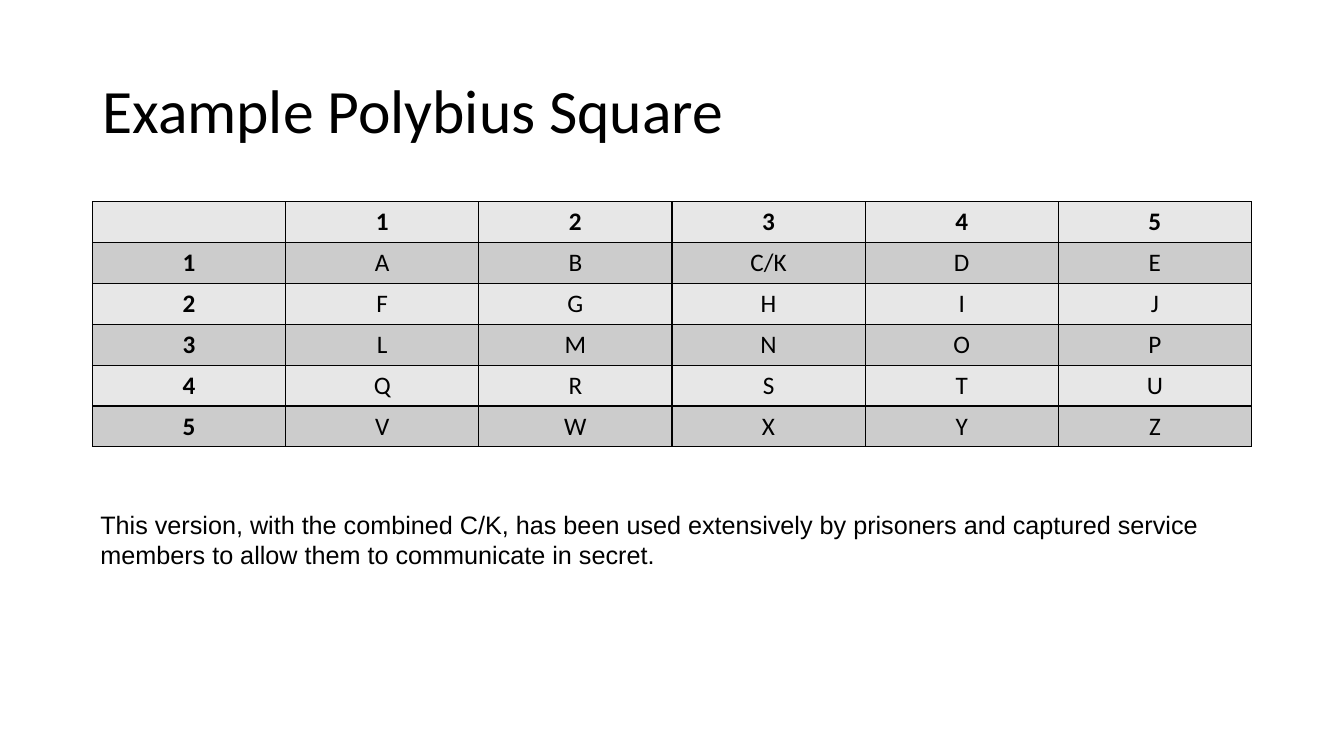
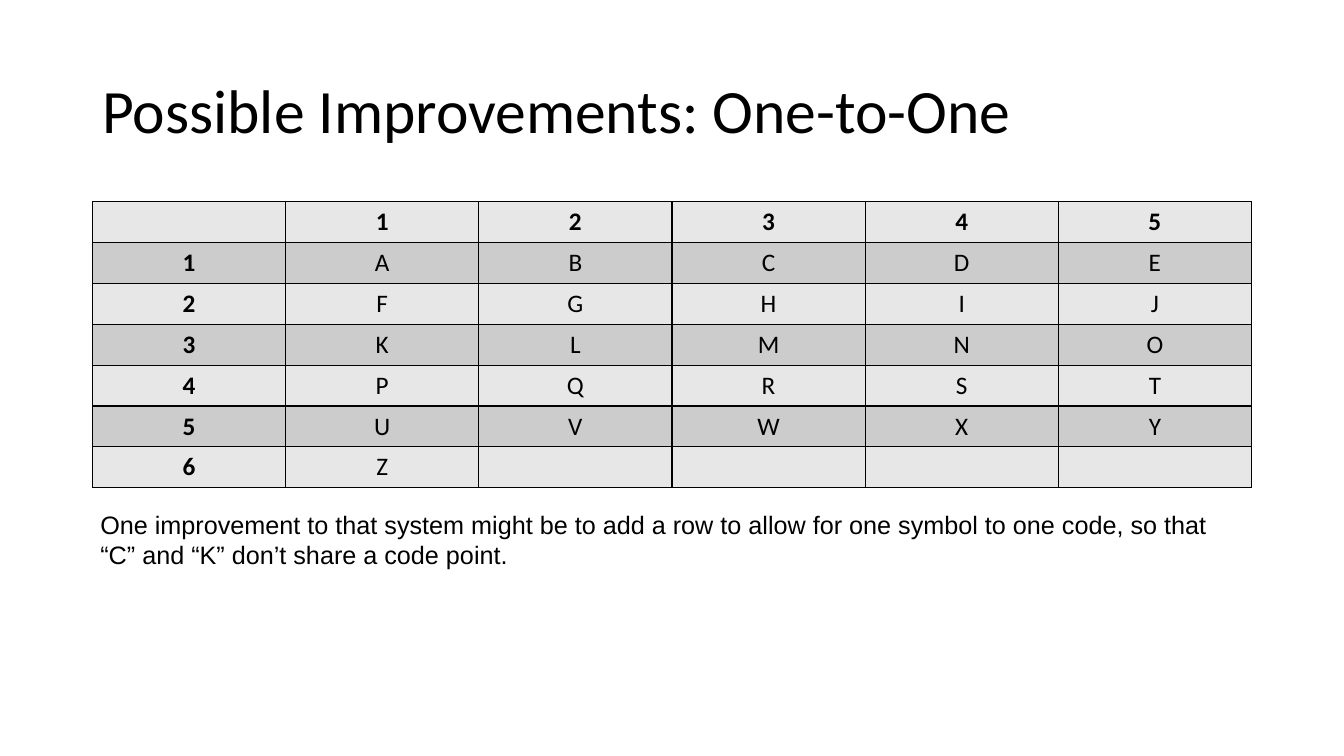
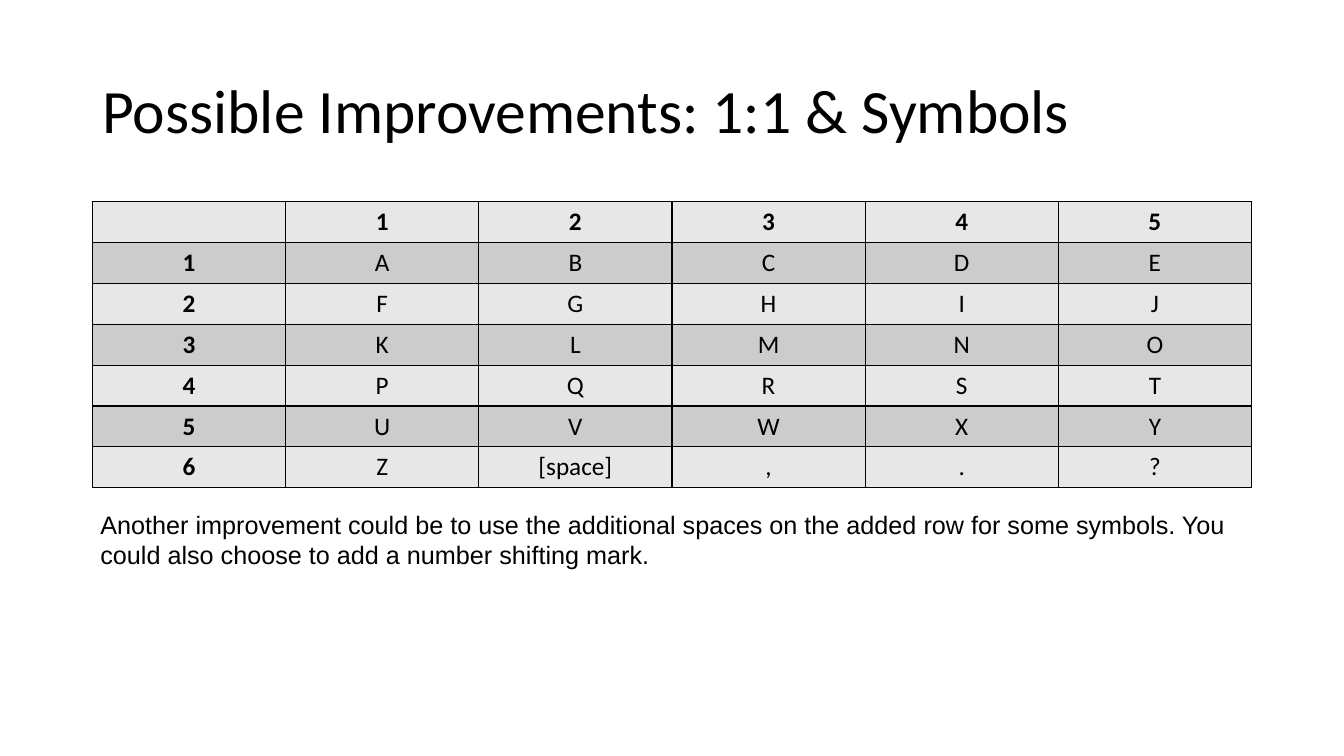
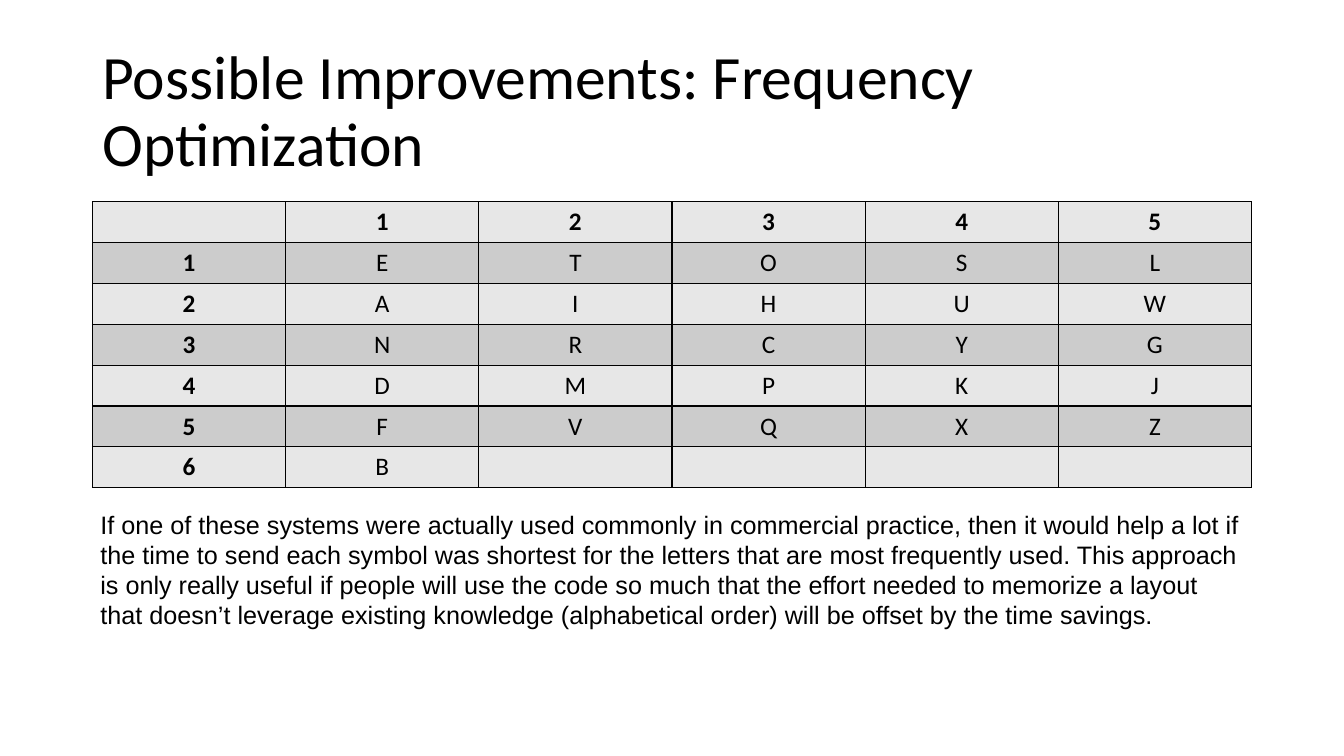
from lxml import etree
from pptx import Presentation
from pptx.dml.color import RGBColor
from pptx.enum.text import MSO_ANCHOR, PP_ALIGN
from pptx.oxml.ns import qn
from pptx.util import Cm, Pt

CENTER = PP_ALIGN.CENTER
TOP, MIDDLE = MSO_ANCHOR.TOP, MSO_ANCHOR.MIDDLE

# Shared look
BLACK = RGBColor(0x00, 0x00, 0x00)
LIGHT_GREY = RGBColor(0xE7, 0xE7, 0xE7)
MID_GREY = RGBColor(0xCC, 0xCC, 0xCC)
TITLE_FONT, NOTE_FONT = "Calibri", "Arial"
LEFT, WIDTH = Cm(2.33), Cm(29.21)
ROW_HEIGHT = Cm(1.03)
BORDER_WIDTH = Pt(0.96)
COLUMN_HEADS = ["", "1", "2", "3", "4", "5"]

# Content: title, rows of the square, note
alphabet_rows = ["A B C D E", "F G H I J", "K L M N O", "P Q R S T", "U V W X Y"]
squares = [
    ("Example Polybius Square",
     ["A B C/K D E", "F G H I J", "L M N O P", "Q R S T U", "V W X Y Z"],
     "This version, with the combined C/K, has been used extensively by prisoners "
     "and captured service members to allow them to communicate in secret."),
    ("Possible Improvements: One-to-One",
     alphabet_rows + ["Z"],
     "One improvement to that system might be to add a row to allow for one symbol "
     "to one code, so that “C” and “K” don’t share a code point."),
    ("Possible Improvements: 1:1 & Symbols",
     alphabet_rows + ["Z [space] , . ?"],
     "Another improvement could be to use the additional spaces on the added row for "
     "some symbols. You could also choose to add a number shifting mark."),
    ("Possible Improvements: Frequency Optimization",
     ["E T O S L", "A I H U W", "N R C Y G", "D M P K J", "F V Q X Z", "B"],
     "If one of these systems were actually used commonly in commercial practice, then "
     "it would help a lot if the time to send each symbol was shortest for the letters "
     "that are most frequently used. This approach is only really useful if people will "
     "use the code so much that the effort needed to memorize a layout that doesn’t "
     "leverage existing knowledge (alphabetical order) will be offset by the time savings."),
]


def write(frame, text, font_name, size, bold=False):
    frame.text = text
    paragraph = frame.paragraphs[0]
    for run in paragraph.runs:
        run.font.name = font_name
        run.font.size = Pt(size)
        run.font.bold = bold
        run.font.color.rgb = BLACK
    return paragraph


def add_text(slide, left, top, height, anchor, text, font_name, size):
    frame = slide.shapes.add_textbox(left, top, WIDTH, height).text_frame
    frame.word_wrap = True
    frame.vertical_anchor = anchor
    return write(frame, text, font_name, size)


prs = Presentation()
prs.slide_width, prs.slide_height = Cm(33.87), Cm(19.05)
blank = prs.slide_layouts[6]

for title, letter_rows, note in squares:
    slide = prs.slides.add_slide(blank)

    # Polybius square with its row and column numbers
    grid = [COLUMN_HEADS]
    for number, letters in enumerate(letter_rows, start=1):
        codes = [str(number)] + letters.split()
        grid.append(codes + [""] * (len(COLUMN_HEADS) - len(codes)))
    square = slide.shapes.add_table(len(grid), len(COLUMN_HEADS), LEFT, Cm(5.08),
                                    WIDTH, ROW_HEIGHT * len(grid)).table
    for r, codes in enumerate(grid):
        square.rows[r].height = ROW_HEIGHT
        for c, code in enumerate(codes):
            cell = square.cell(r, c)
            symbol = write(cell.text_frame, code, TITLE_FONT, 18, bold=r == 0 or c == 0)
            symbol.alignment = CENTER

            # Borders come before the fill in the cell properties
            properties = cell._tc.get_or_add_tcPr()
            for side in ("a:lnL", "a:lnR", "a:lnT", "a:lnB"):
                border = etree.SubElement(properties, qn(side), w=str(BORDER_WIDTH))
                border_fill = etree.SubElement(border, qn("a:solidFill"))
                etree.SubElement(border_fill, qn("a:srgbClr"), val=str(BLACK))
            cell.fill.solid()
            cell.fill.fore_color.rgb = MID_GREY if r % 2 else LIGHT_GREY

    # Title and explanation
    heading = add_text(slide, LEFT, Cm(1.01), Cm(3.68), MIDDLE, title, TITLE_FONT, 44)
    heading.line_spacing = 0.9
    add_text(slide, Cm(2.28), Cm(12.7), Cm(4.83), TOP, note, NOTE_FONT, 18)

prs.save("out.pptx")
